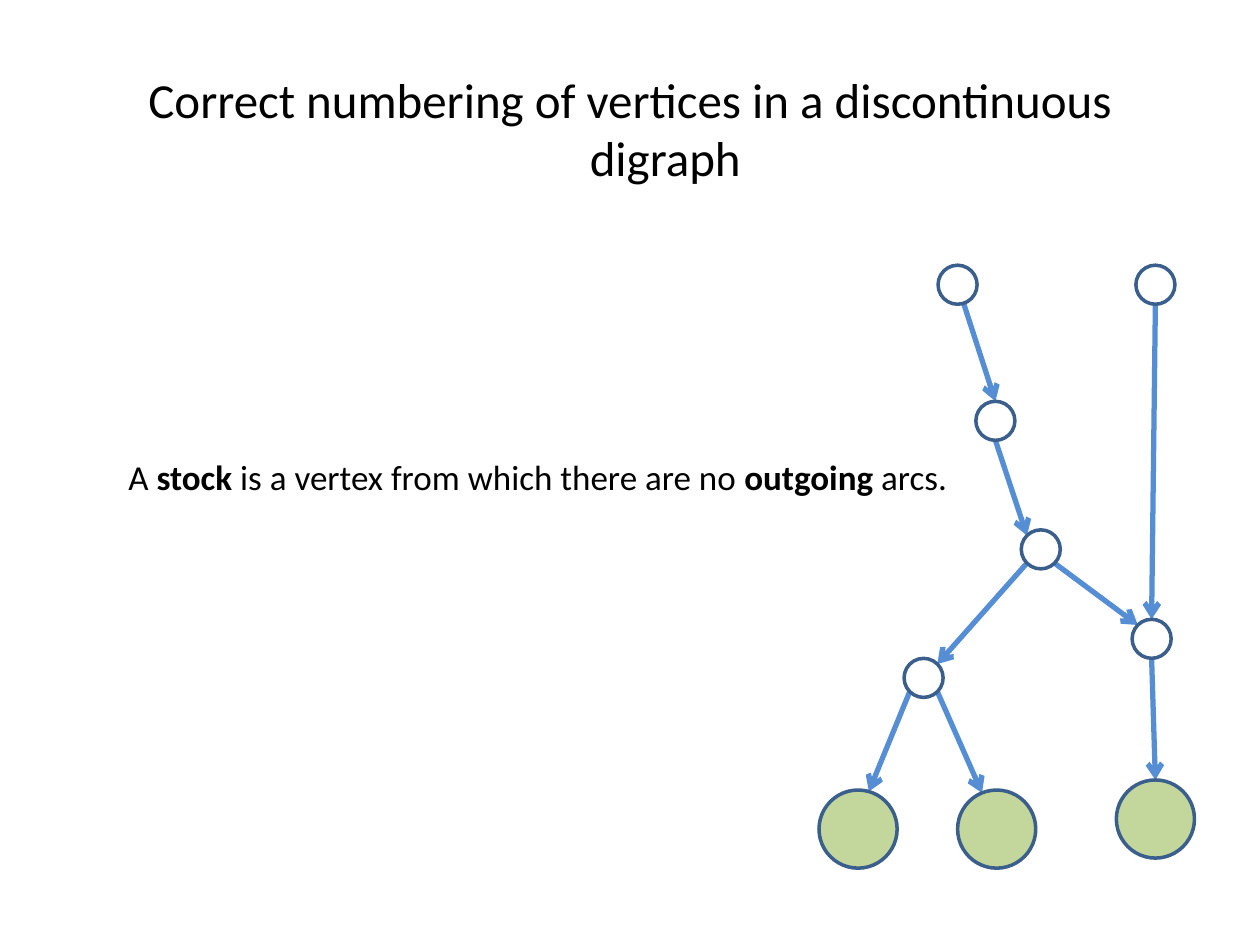
import math

import pptx
import pptx.dml.color
import pptx.enum.shapes
import pptx.enum.text
import pptx.oxml
import pptx.oxml.ns
import pptx.util

Inches = pptx.util.Inches
Pt = pptx.util.Pt
RGB = pptx.dml.color.RGBColor

BLACK = RGB(0x00, 0x00, 0x00)
WHITE = RGB(0xFF, 0xFF, 0xFF)
GREEN = RGB(0xC3, 0xD6, 0x9B)
ARC = RGB(0x55, 0x8E, 0xD5)
OUTLINE = RGB(0x3A, 0x5F, 0x8C)

SMALL, LARGE = 0.31, 0.62  # diameters of ordinary vertices and stocks

# Vertex: centre relative to the digraph box, diameter, fill
VERTICES = {
    "source_left": (1.1, 0.16, SMALL, WHITE),
    "source_right": (2.67, 0.16, SMALL, WHITE),
    "upper": (1.4, 1.24, SMALL, WHITE),
    "fork": (1.76, 2.26, SMALL, WHITE),
    "lower_left": (0.83, 3.28, SMALL, WHITE),
    "lower_right": (2.64, 2.97, SMALL, WHITE),
    "stock_left": (0.31, 4.48, LARGE, GREEN),
    "stock_middle": (1.41, 4.48, LARGE, GREEN),
    "stock_right": (2.67, 4.4, LARGE, GREEN),
}

# Arc: start vertex, rim angle, end vertex, rim angle (degrees clockwise from top)
ARCS = [
    ("source_left", 162, "upper", 0),
    ("upper", 180, "fork", 315),
    ("fork", 225, "lower_left", 45),
    ("fork", 135, "lower_right", 315),
    ("source_right", 180, "lower_right", 0),
    ("lower_left", 225, "stock_left", 16),
    ("lower_left", 135, "stock_middle", 338),
    ("lower_right", 180, "stock_right", 0),
]


def add_text(slide, left, top, width, height, runs, size):
    tb = slide.shapes.add_textbox(Inches(left), Inches(top), Inches(width), Inches(height))
    tf = tb.text_frame
    tf.word_wrap = True
    tf.vertical_anchor = pptx.enum.text.MSO_ANCHOR.MIDDLE
    p = tf.paragraphs[0]
    p.font.name = "Calibri"
    p.font.size = Pt(size)
    p.font.color.rgb = BLACK
    for text, bold in runs:
        r = p.add_run()
        r.text = text
        if bold:
            r.font.bold = True
    return p


def add_title(slide, left, top, width, height):
    title = "Correct numbering of vertices in a discontinuous digraph"
    p = add_text(slide, left, top, width, height, [(title, False)], 28)
    p.alignment = pptx.enum.text.PP_ALIGN.CENTER
    # Hanging indent
    pPr = p._p.get_or_add_pPr()
    pPr.set("marL", str(Inches(0.56)))
    pPr.set("indent", str(Inches(-0.56)))


def add_definition(slide, left, top, width, height):
    runs = [("A ", False), ("stock", True),
            (" is a vertex from which there are no ", False),
            ("outgoing", True), (" arcs.", False)]
    add_text(slide, left, top, width, height, runs, 20)


def rim_point(vertex, angle):
    x, y, d, _ = VERTICES[vertex]
    a = math.radians(angle)
    return x + d / 2 * math.sin(a), y - d / 2 * math.cos(a)


def add_digraph(slide, left, top):
    # Arcs
    for start, start_angle, end, end_angle in ARCS:
        x1, y1 = rim_point(start, start_angle)
        x2, y2 = rim_point(end, end_angle)
        c = slide.shapes.add_connector(
            pptx.enum.shapes.MSO_CONNECTOR.STRAIGHT,
            Inches(left + x1), Inches(top + y1), Inches(left + x2), Inches(top + y2))
        c.line.color.rgb = ARC
        c.line.width = Pt(3)
        tail = pptx.oxml.parse_xml(
            "<a:tailEnd %s type='arrow'/>" % pptx.oxml.ns.nsdecls("a"))
        c.line._get_or_add_ln().append(tail)
        c._element.spPr.append(pptx.oxml.parse_xml(
            "<a:effectLst %s/>" % pptx.oxml.ns.nsdecls("a")))

    # Vertices
    for x, y, d, fill in VERTICES.values():
        sp = slide.shapes.add_shape(
            pptx.enum.shapes.MSO_SHAPE.OVAL,
            Inches(left + x - d / 2), Inches(top + y - d / 2), Inches(d), Inches(d))
        sp.shadow.inherit = False
        sp.fill.solid()
        sp.fill.fore_color.rgb = fill
        sp.line.color.rgb = OUTLINE
        sp.line.width = Pt(2)


def main():
    prs = pptx.Presentation()
    prs.slide_width = Inches(10)
    prs.slide_height = Inches(7.5)
    slide = prs.slides.add_slide(prs.slide_layouts[6])
    add_title(slide, 0.75, 0.21, 8.5, 1.61)
    add_digraph(slide, 6.5, 2.1)
    add_definition(slide, 0.92, 2.17, 8.5, 3.23)
    prs.save("out.pptx")


if __name__ == "__main__":
    main()
